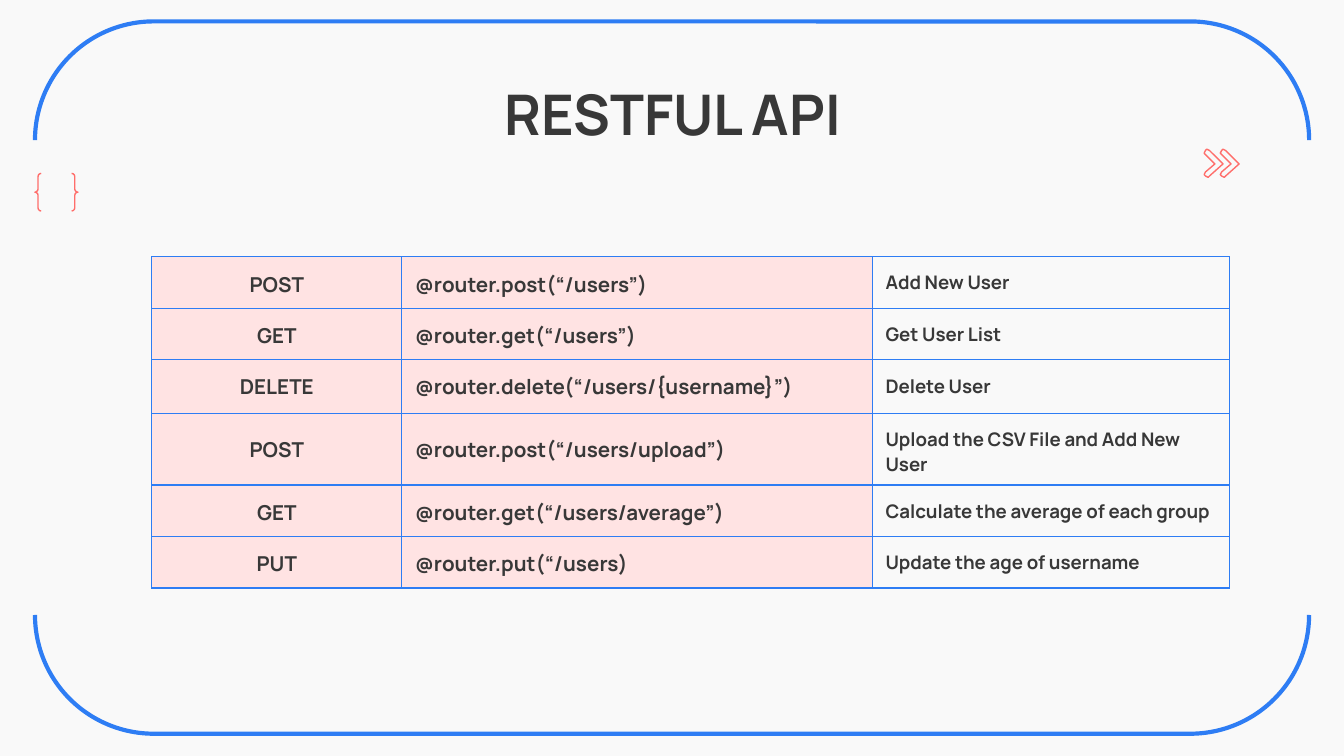
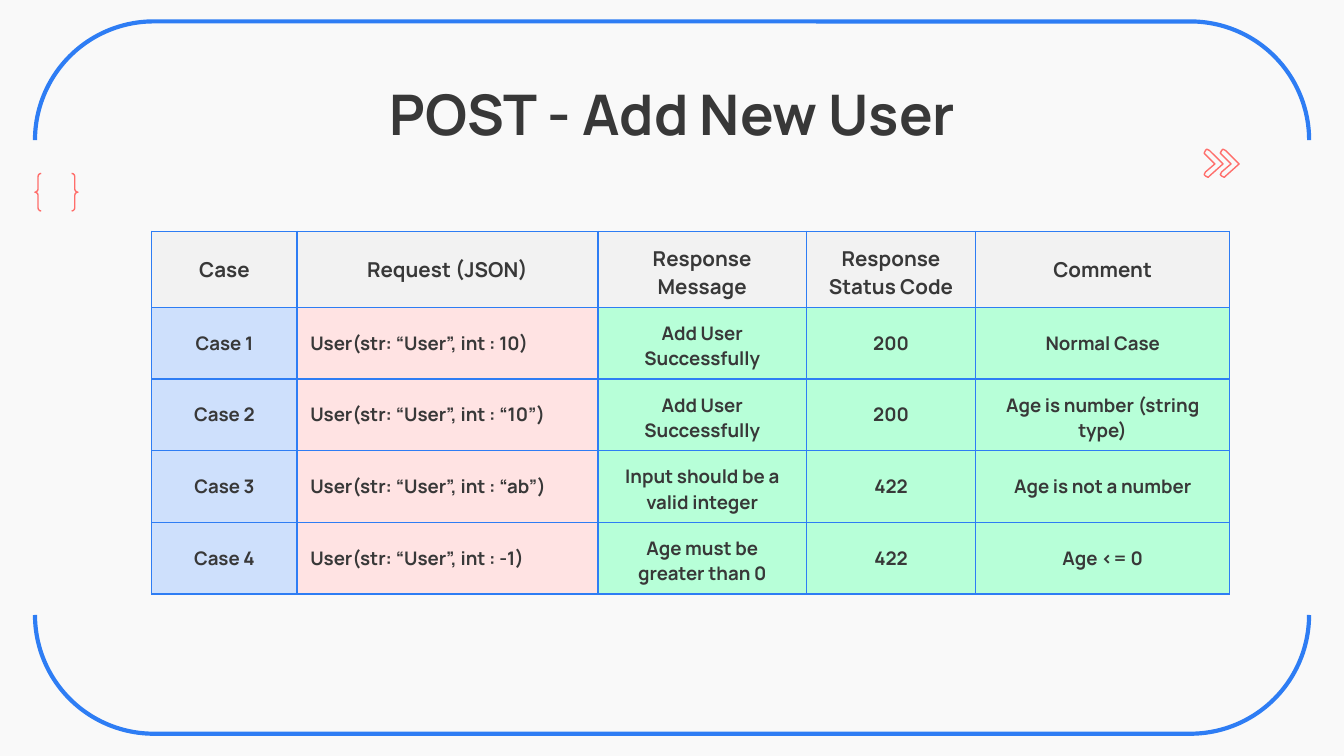
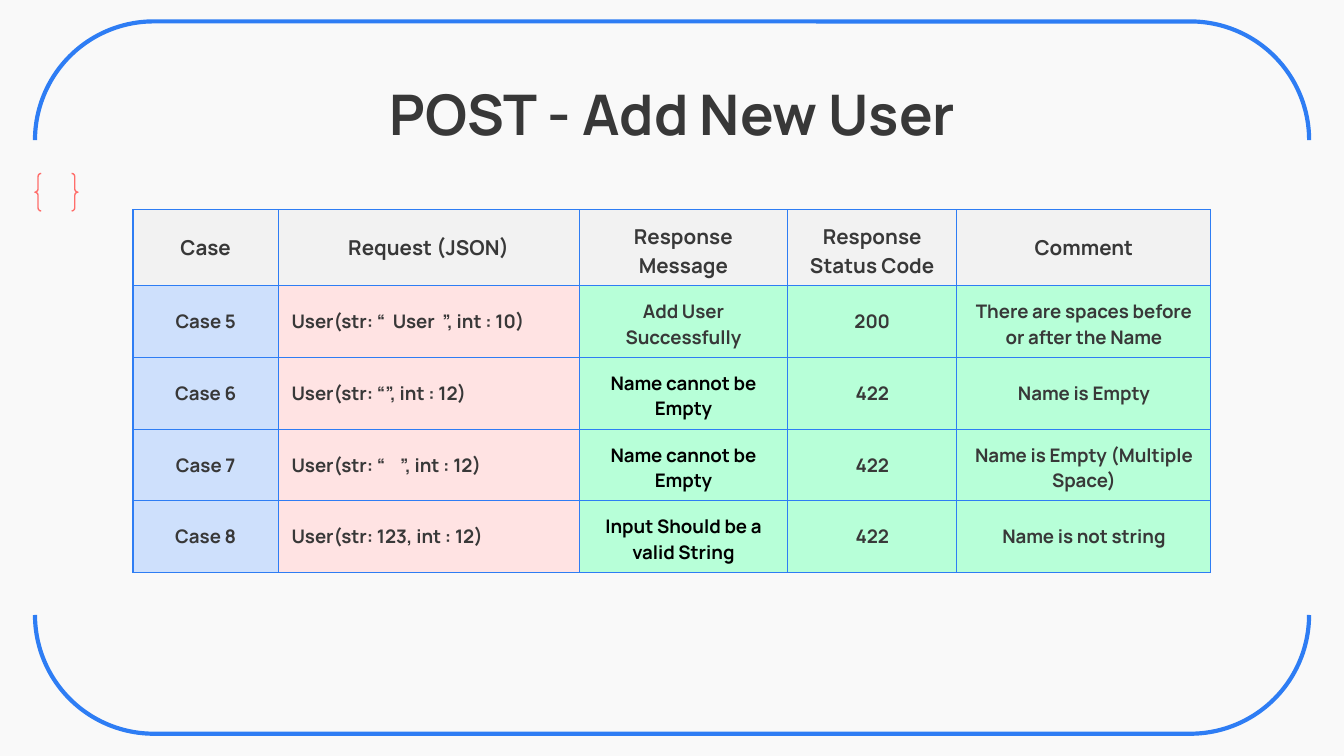
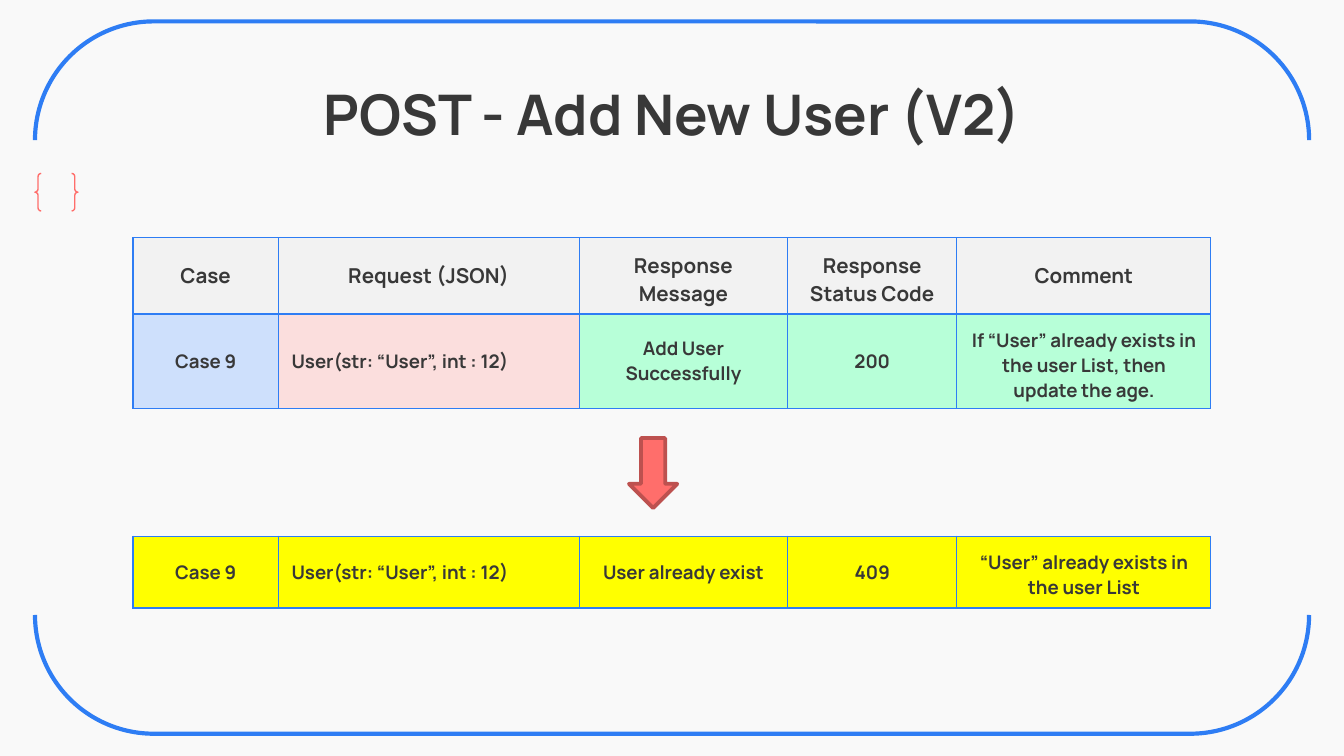
"""Build four slides that describe a REST API and its test cases."""
from lxml.etree import SubElement
from pptx import Presentation
from pptx.dml.color import RGBColor
from pptx.enum.shapes import MSO_SHAPE
from pptx.enum.text import MSO_ANCHOR, PP_ALIGN
from pptx.oxml.ns import qn
from pptx.util import Emu, Pt

PX = 9144
MARGIN = Emu(91425)
FONT = "Manrope"
PAPER, INK, BLACK = "F9F9F9", "383838", "000000"
BLUE, CORAL, BRICK = "2E7DF4", "FF6E6B", "BD514F"
PINK, ROSE, SKY, MINT = "FFE3E3", "FBDEDD", "CEE0FC", "B7FFD8"
GREY, YELLOW = "F2F2F2", "FFFF00"

CASE_WIDTHS = [108, 224, 155, 126, 189]
CASE_HEADER = ["Case", "Request (JSON)", "Response Message",
               "Response Status Code", "Comment"]
CASE_FILLS = [SKY, PINK, MINT, MINT, MINT]
CHEVRON = [(2, 0), (1, 1), (0, 3), (1, 4), (8, 11), (1, 17), (0, 19), (1, 20),
           (3, 21), (4, 20), (14, 11), (4, 1)]
CHEVRON_LEFTS = [908, 896]

ROUTES = [
    ["POST", "@router.post(“/users”)", "Add New User"],
    ["GET", "@router.get(“/users”)", "Get User List"],
    ["DELETE", "@router.delete(“/users/{username}”)", "Delete User"],
    ["POST", "@router.post(“/users/upload”)", "Upload the CSV File and Add New User"],
    ["GET", "@router.get(“/users/average”)", "Calculate the average of each group"],
    ["PUT", "@router.put(“/users)", "Update the age of username"],
]
AGE_CASES = [
    ["Case 1", "User(str: “User”, int : 10)", "Add User Successfully", "200",
     "Normal Case"],
    ["Case 2", "User(str: “User”, int : “10”)", "Add User Successfully", "200",
     "Age is number (string type)"],
    ["Case 3", "User(str: “User”, int : “ab”)", "Input should be a valid integer",
     "422", "Age is not a number"],
    ["Case 4", "User(str: “User”, int : -1)", "Age must be greater than 0", "422",
     "Age <= 0"],
]
NAME_CASES = [
    ["Case 5", "User(str: “  User  ”, int : 10)", "Add User Successfully", "200",
     "There are spaces before or after the Name"],
    ["Case 6", "User(str: “”, int : 12)", "Name cannot be Empty", "422",
     "Name is Empty"],
    ["Case 7", "User(str: “    ”, int : 12)", "Name cannot be Empty", "422",
     "Name is Empty (Multiple Space)"],
    ["Case 8", "User(str: 123, int : 12)", "Input Should be a valid String", "422",
     "Name is not string"],
]
FIRST_VERSION = [
    ["Case 9", "User(str: “User”, int : 12)", "Add User Successfully", "200",
     "If “User” already exists in the user List, then update the age."],
]
SECOND_VERSION = [
    ["Case 9", "User(str: “User”, int : 12)", "User already exist", "409",
     "“User” already exists in the user List"],
]


def color(code):
    return RGBColor.from_string(code)


def px(*lengths):
    return [Emu(length * PX) for length in lengths]


def set_margins(holder):
    holder.margin_left = holder.margin_right = MARGIN
    holder.margin_top = holder.margin_bottom = MARGIN


def write(frame, text, size=10, ink=INK, align=PP_ALIGN.CENTER, after=0):
    para = frame.paragraphs[0]
    para.alignment = align
    if after:
        para.space_after = Pt(after)
    span = para.add_run()
    span.text = text
    span.font.name = FONT
    span.font.size = Pt(size)
    span.font.bold = True
    span.font.color.rgb = color(ink)


class Slides:
    def __init__(self):
        self.deck = Presentation()
        self.deck.slide_width = Emu(1000 * PX)
        self.deck.slide_height = Emu(self.deck.slide_width * 9 // 16)
        self.page = None

    def new_page(self, title):
        self.page = self.deck.slides.add_slide(self.deck.slide_layouts[6])
        self.page.background.fill.solid()
        self.page.background.fill.fore_color.rgb = color(PAPER)
        frame = self.shape(MSO_SHAPE.DOUBLE_BRACKET, 235, -193, 530, 948, BLUE, 2.25)
        frame.rotation = 90
        self.shape(MSO_SHAPE.DOUBLE_BRACE, 26, 129, 32, 28, CORAL, 0.75)
        self.title(title)

    def paint(self, shape, line, weight, fill=None):
        shape.shadow.inherit = False
        if fill:
            shape.fill.solid()
            shape.fill.fore_color.rgb = color(fill)
        else:
            shape.fill.background()
        shape.line.color.rgb = color(line)
        shape.line.width = Pt(weight)

    def shape(self, kind, left, top, width, height, line, weight, fill=None):
        shape = self.page.shapes.add_shape(kind, *px(left, top, width, height))
        self.paint(shape, line, weight, fill)
        return shape

    def title(self, text):
        box = self.page.shapes.add_textbox(*px(79, 49, 843, 63))
        frame = box.text_frame
        frame.word_wrap = True
        frame.vertical_anchor = MSO_ANCHOR.TOP
        set_margins(frame)
        write(frame, text, size=30)

    def chevrons(self):
        group = self.page.shapes.add_group_shape()
        for left in CHEVRON_LEFTS:
            points = [(left + x, 111 + y) for x, y in CHEVRON]
            builder = group.shapes.build_freeform(*points[0], scale=PX)
            builder.add_line_segments(points[1:], close=True)
            self.paint(builder.convert_to_shape(), CORAL, 0.75, PAPER)

    def cell(self, cell, text, fill, **style):
        cell.vertical_anchor = MSO_ANCHOR.MIDDLE
        set_margins(cell)
        properties = cell._tc.get_or_add_tcPr()
        for side in ("a:lnL", "a:lnR", "a:lnT", "a:lnB"):
            border = SubElement(properties, qn(side), w=str(Pt(0.75)))
            paint = SubElement(border, qn("a:solidFill"))
            SubElement(paint, qn("a:srgbClr"), val=BLUE)
        cell.fill.solid()
        cell.fill.fore_color.rgb = color(fill)
        write(cell.text_frame, text, **style)

    def table(self, left, top, height, widths, row_heights):
        holder = self.page.shapes.add_table(
            len(row_heights), len(widths), *px(left, top, sum(widths), height))
        table = holder.table
        table.first_row = table.horz_banding = False
        for column, width in zip(table.columns, px(*widths)):
            column.width = width
        for row, row_height in zip(table.rows, px(*row_heights)):
            row.height = row_height
        holder.height = Emu(height * PX)
        return table

    def route_table(self):
        table = self.table(113, 191, 262, [186, 350, 266], [38, 38, 40, 40, 38, 38])
        styles = [
            dict(fill=PINK, size=11),
            dict(fill=PINK, size=11, align=PP_ALIGN.LEFT),
            dict(fill=PAPER, align=PP_ALIGN.LEFT, after=16),
        ]
        for r, route in enumerate(ROUTES):
            for c, text in enumerate(route):
                self.cell(table.cell(r, c), text, **styles[c])

    def case_table(self, left, top, height, cases, fills=CASE_FILLS, header=True,
                   black_messages=()):
        rows = [CASE_HEADER] * header + cases
        table = self.table(left, top, height, CASE_WIDTHS, [38] * len(rows))
        for r, row in enumerate(rows):
            is_header = row is CASE_HEADER
            for c, text in enumerate(row):
                is_request = c == 1 and not is_header
                is_black = c == 2 and row[0] in black_messages
                self.cell(
                    table.cell(r, c), text, GREY if is_header else fills[c],
                    size=11 if is_header else 10,
                    ink=BLACK if is_black else INK,
                    align=PP_ALIGN.LEFT if is_request else PP_ALIGN.CENTER,
                    after=16 if c > 1 and not is_black else 0)


def main():
    slides = Slides()

    slides.new_page("RESTFUL API")
    slides.chevrons()
    slides.route_table()

    slides.new_page("POST - Add New User")
    slides.chevrons()
    slides.case_table(113, 172, 270, AGE_CASES)

    slides.new_page("POST - Add New User")
    slides.case_table(99, 156, 287, NAME_CASES,
                      black_messages=("Case 6", "Case 7", "Case 8"))

    slides.new_page("POST - Add New User (V2)")
    slides.case_table(99, 399, 53, SECOND_VERSION, fills=[YELLOW] * 5, header=False)
    slides.case_table(99, 177, 127, FIRST_VERSION,
                      fills=[SKY, ROSE, MINT, MINT, MINT])
    slides.shape(MSO_SHAPE.DOWN_ARROW, 468, 326, 36, 52, BRICK, 2, CORAL)

    slides.deck.save("out.pptx")


if __name__ == "__main__":
    main()
